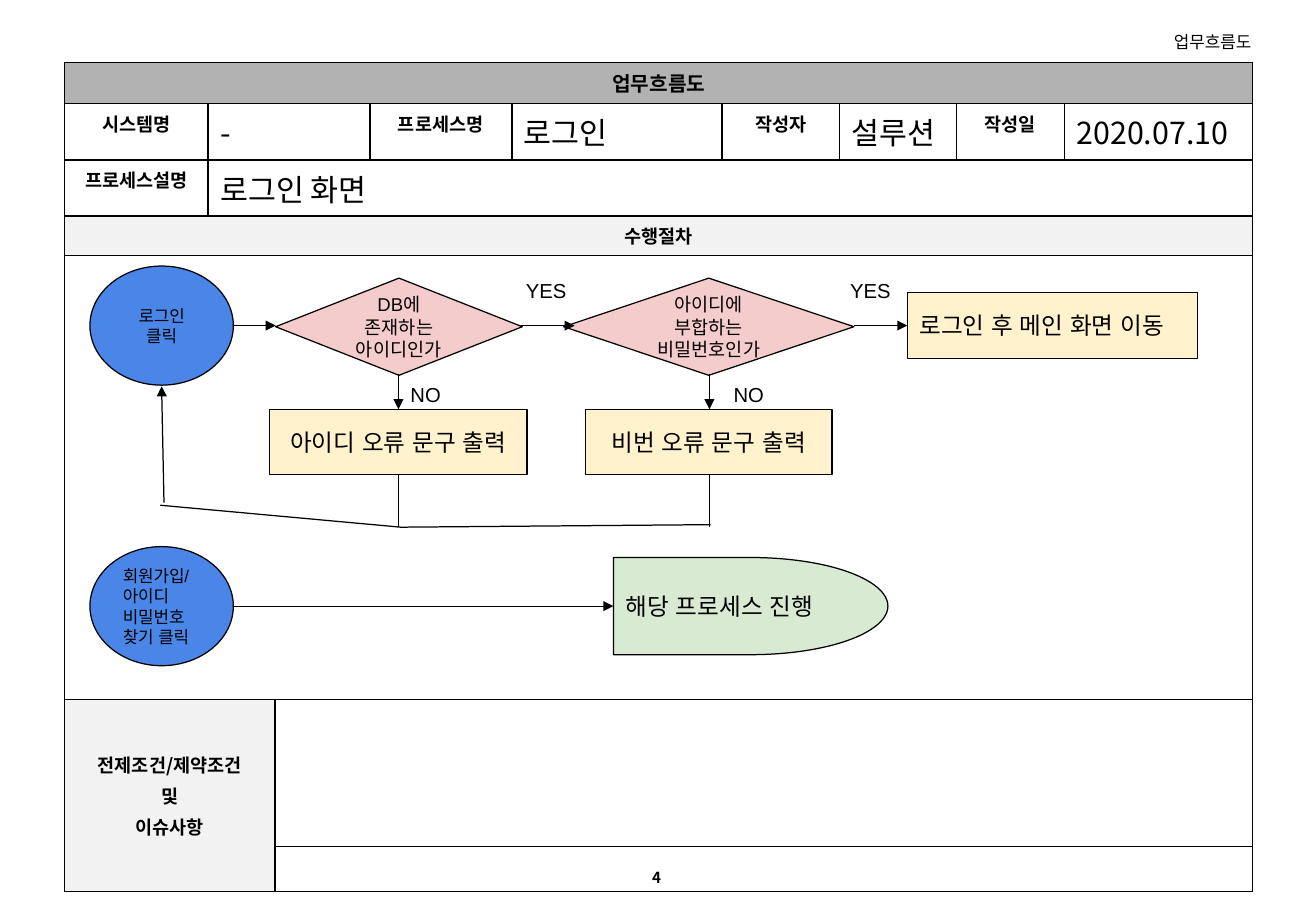
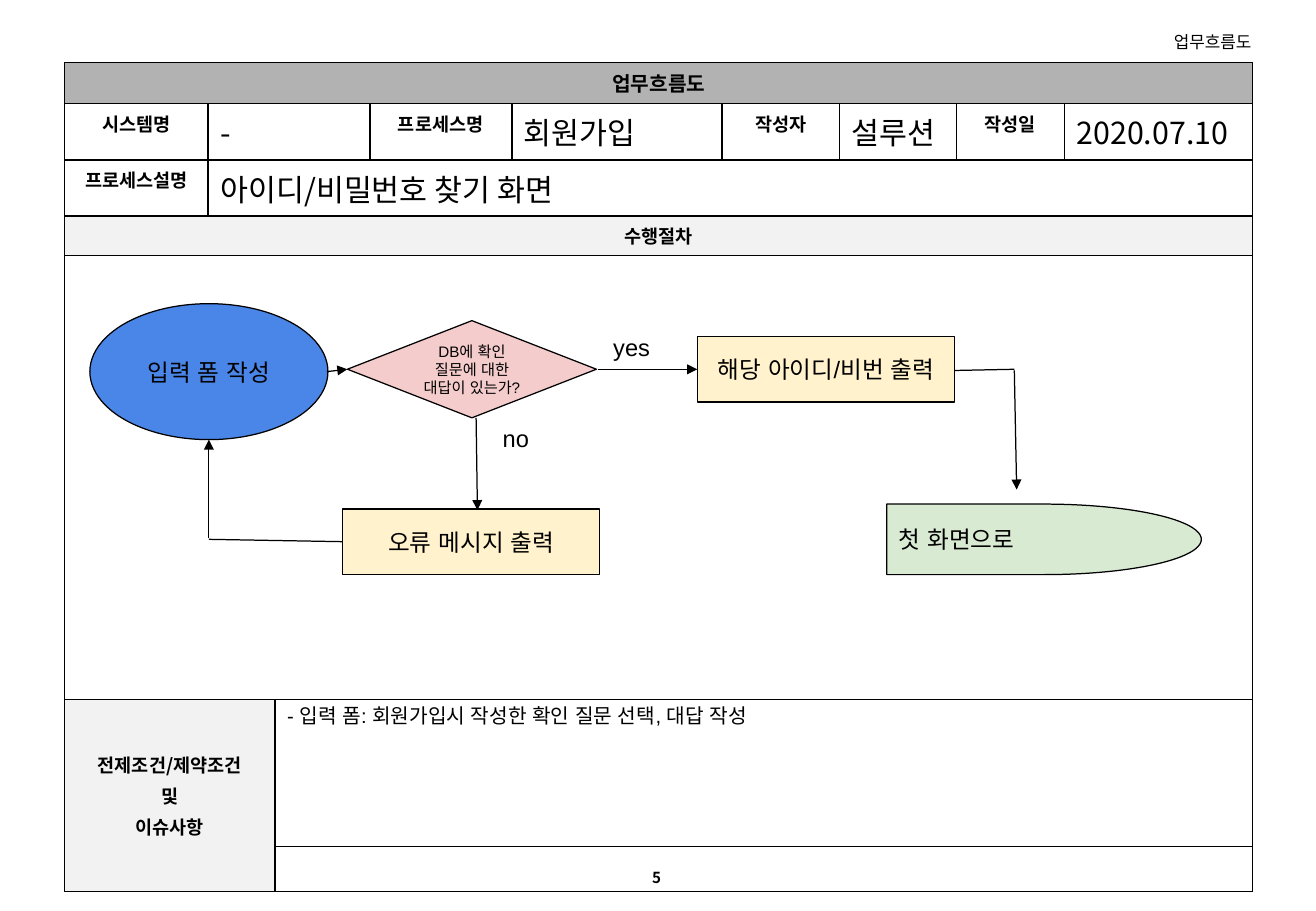
from dataclasses import dataclass

from lxml import etree
from pptx import Presentation
from pptx.dml.color import RGBColor
from pptx.enum.shapes import MSO_CONNECTOR, MSO_SHAPE
from pptx.enum.text import MSO_ANCHOR, PP_ALIGN
from pptx.oxml.ns import qn
from pptx.util import Pt

ELLIPSE = MSO_SHAPE.OVAL
DIAMOND = MSO_SHAPE.DIAMOND
RECTANGLE = MSO_SHAPE.RECTANGLE
DELAY = MSO_SHAPE.FLOWCHART_DELAY
STRAIGHT = MSO_CONNECTOR.STRAIGHT
LEFT, CENTER, RIGHT = PP_ALIGN.LEFT, PP_ALIGN.CENTER, PP_ALIGN.RIGHT
TOP, MIDDLE = MSO_ANCHOR.TOP, MSO_ANCHOR.MIDDLE

COLORS = {
    "ink": "000000",
    "heading": "B2B2B2",
    "section": "F2F2F2",
    "start": "4A86E8",
    "decision": "F4CCCC",
    "action": "FFF2CC",
    "finish": "D9EAD3",
}
NODE_FILLS = {ELLIPSE: "start", DIAMOND: "decision", RECTANGLE: "action", DELAY: "finish"}
FORM_FONT = "Noto Sans CJK KR"
FLOW_FONT = "Arial"
TITLE = "업무흐름도"
TITLE_ONLY = 5
LINE_WIDTH = 0.75
INNER_WIDTH = 1
COLUMN_WIDTHS = (85, 39.6, 56.2, 84.2, 124.6, 69.8, 69.1, 64.1, 111.6)
ROW_HEIGHTS = (24.6, 33.4, 33.4, 23.2, 263.2, 113.8)
LAST_COLUMN = len(COLUMN_WIDTHS) - 1
LAST_ROW = len(ROW_HEIGHTS) - 1
FLOW_ROW = 4


@dataclass
class Node:
    kind: int
    left: float
    top: float
    width: float
    height: float
    text: str
    size: float = 14
    align: int = CENTER


@dataclass
class Link:
    x1: float
    y1: float
    x2: float
    y2: float
    arrow: bool = True


@dataclass
class Label:
    left: float
    top: float
    width: float
    height: float
    text: str
    size: float


@dataclass
class Field:
    row: int
    first: int
    last: int
    text: str
    size: float = 11
    bold: bool = True
    align: int = CENTER
    fill: str = ""
    anchor: int = TOP
    font: str = FORM_FONT
    space_before: float = 0


@dataclass
class Process:
    page: str
    name: str
    description: str
    note: str
    nodes: list[Node]
    links: list[Link]
    labels: list[Label]


PROCESSES = [
    Process(
        "4", "로그인", "로그인 화면", "",
        [
            Node(ELLIPSE, 53.3, 157.7, 85, 70.6, "로그인\n클릭", 10),
            Node(DIAMOND, 163.4, 164.9, 146.2, 57.6, "DB에 존재하는 아이디인가", 11),
            Node(DIAMOND, 334.1, 164.9, 172.1, 57.6, "아이디에 부합하는 비밀번호인가", 11),
            Node(RECTANGLE, 537.8, 173.5, 172.1, 38.9, "로그인 후 메인 화면 이동", align=LEFT),
            Node(RECTANGLE, 159.8, 242.6, 152.6, 38.9, "아이디 오류 문구 출력"),
            Node(RECTANGLE, 347, 242.6, 146.2, 38.9, "비번 오류 문구 출력"),
            Node(ELLIPSE, 53.3, 324, 85, 70.6, "회원가입/ 아이디 비밀번호 찾기 클릭", 10, LEFT),
            Node(DELAY, 363.6, 330.5, 162.7, 57.6, "해당 프로세스 진행", align=LEFT),
        ],
        [
            Link(138.2, 193, 163.4, 193),
            Link(309, 193, 340.6, 193),
            Link(506.2, 193, 537.8, 193),
            Link(236.2, 222, 236.2, 242.6),
            Link(420.5, 222, 420.5, 242.6),
            Link(236.2, 281.5, 236.2, 312.5, False),
            Link(420.5, 281.5, 420.5, 312.5, False),
            Link(421.2, 311, 237.6, 312.5, False),
            Link(237.6, 312.5, 95, 299.5, False),
            Link(97.2, 298, 95.8, 229),
            Link(138.2, 359.3, 363.6, 359.3),
        ],
        [
            Label(304.6, 157.7, 67, 26, "YES", 12),
            Label(496.8, 157.7, 67, 26, "YES", 12),
            Label(236.2, 219.6, 46.8, 26, "NO", 12),
            Label(427.7, 219.6, 46.8, 26, "NO", 12),
        ],
    ),
    Process(
        "5", "회원가입", "아이디/비밀번호 찾기 화면",
        "- 입력 폼: 회원가입시 작성한 확인 질문 선택, 대답 작성",
        [
            Node(ELLIPSE, 53.3, 180, 141.1, 80.6, "입력 폼 작성"),
            Node(DIAMOND, 205.9, 190.1, 147.6, 57.6, "DB에 확인 질문에 대한 대답이 있는가?", 9),
            Node(RECTANGLE, 413.3, 199.4, 152.6, 38.9, "해당 아이디/비번 출력"),
            Node(RECTANGLE, 203, 301.7, 152.6, 38.9, "오류 메시지 출력"),
            Node(DELAY, 525.6, 298.8, 186.5, 41.8, "첫 화면으로", align=LEFT),
        ],
        [
            Link(193.7, 220.3, 205.9, 218.9),
            Link(354.2, 218.9, 413.3, 218.9),
            Link(282.2, 247.7, 283, 302.4),
            Link(203, 321.1, 123.8, 319.7, False),
            Link(123.8, 319, 123.8, 260.6),
            Link(565.9, 219.6, 601.2, 218.9, False),
            Link(601.2, 219.6, 602.6, 290.2),
        ],
        [
            Label(356.4, 190.1, 43.2, 32.4, "yes", 14),
            Label(290.9, 244.1, 43.2, 32.4, "no", 14),
        ],
    ),
]


def rgb(name: str) -> RGBColor:
    return RGBColor.from_string(COLORS[name])


def write(text_frame, text: str, font: str, size: float, align: int,
          bold: bool = False, space_before: float = 0) -> None:
    text_frame.text = text
    for index, paragraph in enumerate(text_frame.paragraphs):
        paragraph.alignment = align
        if index and space_before:
            paragraph.space_before = Pt(space_before)
        for run in paragraph.runs:
            run.font.name = font
            run.font.size = Pt(size)
            run.font.bold = bold
            run.font.color.rgb = rgb("ink")
            east_asian = etree.Element(qn("a:ea"), typeface=font)
            run.font._element.find(qn("a:latin")).addnext(east_asian)


def set_frame(text_frame, horizontal: float, vertical: float, anchor: int) -> None:
    text_frame.word_wrap = True
    text_frame.vertical_anchor = anchor
    text_frame.margin_left = text_frame.margin_right = Pt(horizontal)
    text_frame.margin_top = text_frame.margin_bottom = Pt(vertical)


def add_link(slide, link: Link) -> None:
    connector = slide.shapes.add_connector(
        STRAIGHT, Pt(link.x1), Pt(link.y1), Pt(link.x2), Pt(link.y2))
    connector.line.color.rgb = rgb("ink")
    connector.line.width = Pt(LINE_WIDTH)
    properties = connector.element.spPr
    if link.arrow:
        etree.SubElement(properties.find(qn("a:ln")), qn("a:tailEnd"), type="triangle")
    etree.SubElement(properties, qn("a:effectLst"))


def add_node(slide, node: Node) -> None:
    shape = slide.shapes.add_shape(
        node.kind, Pt(node.left), Pt(node.top), Pt(node.width), Pt(node.height))
    shape.shadow.inherit = False
    shape.fill.solid()
    shape.fill.fore_color.rgb = rgb(NODE_FILLS[node.kind])
    shape.line.color.rgb = rgb("ink")
    shape.line.width = Pt(LINE_WIDTH)
    set_frame(shape.text_frame, 7.2, 7.2, MIDDLE)
    write(shape.text_frame, node.text, FLOW_FONT, node.size, node.align)


def add_label(slide, label: Label) -> None:
    box = slide.shapes.add_textbox(
        Pt(label.left), Pt(label.top), Pt(label.width), Pt(label.height))
    set_frame(box.text_frame, 7.2, 7.2, TOP)
    write(box.text_frame, label.text, FLOW_FONT, label.size, LEFT)


def set_borders(cell, row: int, column: int) -> None:
    properties = cell._tc.get_or_add_tcPr()
    sides = {
        "a:lnL": column == 0,
        "a:lnR": column == LAST_COLUMN,
        "a:lnT": row == 0,
        "a:lnB": row == FLOW_ROW - 1,
    }
    for index, (tag, thin) in enumerate(sides.items()):
        width = LINE_WIDTH if thin or row >= FLOW_ROW else INNER_WIDTH
        border = etree.Element(qn(tag), w=str(Pt(width)))
        fill = etree.SubElement(border, qn("a:solidFill"))
        etree.SubElement(fill, qn("a:srgbClr"), val=COLORS["ink"])
        properties.insert(index, border)


def form_fields(process: Process) -> list[Field]:
    value = {"size": 18, "bold": False, "align": LEFT}
    return [
        Field(0, 0, LAST_COLUMN, TITLE, 12, fill="heading"),
        Field(1, 0, 0, "시스템명"),
        Field(1, 1, 2, "-", **value),
        Field(1, 3, 3, "프로세스명"),
        Field(1, 4, 4, process.name, **value),
        Field(1, 5, 5, "작성자"),
        Field(1, 6, 6, "설루션", **value),
        Field(1, 7, 7, "작성일"),
        Field(1, 8, 8, "2020.07.10", **value),
        Field(2, 0, 0, "프로세스설명"),
        Field(2, 1, LAST_COLUMN, process.description, **value),
        Field(3, 0, LAST_COLUMN, "수행절차", fill="section"),
        Field(FLOW_ROW, 0, LAST_COLUMN, ""),
        Field(LAST_ROW, 0, 1, "전제조건/제약조건\n및\n이슈사항",
              fill="section", anchor=MIDDLE, space_before=2.2),
        Field(LAST_ROW, 2, LAST_COLUMN, process.note, 12, False, LEFT, font=FLOW_FONT),
    ]


def add_form(slide, process: Process) -> None:
    table = slide.shapes.add_table(
        len(ROW_HEIGHTS), len(COLUMN_WIDTHS), Pt(38.4), Pt(36.8),
        Pt(sum(COLUMN_WIDTHS)), Pt(sum(ROW_HEIGHTS))).table
    table.first_row = table.horz_banding = False
    for column, width in zip(table.columns, COLUMN_WIDTHS):
        column.width = Pt(width)
    for row, height in zip(table.rows, ROW_HEIGHTS):
        row.height = Pt(height)
    for field in form_fields(process):
        for column in range(field.first, field.last + 1):
            cell = table.cell(field.row, column)
            if field.fill:
                cell.fill.solid()
                cell.fill.fore_color.rgb = rgb(field.fill)
            else:
                cell.fill.background()
            set_borders(cell, field.row, column)
        cell = table.cell(field.row, field.first)
        if field.last > field.first:
            cell.merge(table.cell(field.row, field.last))
        cell.vertical_anchor = field.anchor
        write(cell.text_frame, field.text, field.font, field.size,
              field.align, field.bold, field.space_before)


def add_page_frame(slide, page: str) -> None:
    title = slide.shapes.title
    title.left, title.top, title.width, title.height = Pt(511.9), Pt(18.7), Pt(229.7), Pt(12.2)
    set_frame(title.text_frame, 0, 0, MIDDLE)
    write(title.text_frame, TITLE, FORM_FONT, 10, RIGHT)
    add_link(slide, Link(742.3, 501.8, 38.9, 501.8, False))
    number = slide.shapes.add_textbox(Pt(369.4), Pt(511.2), Pt(39.6), Pt(18))
    set_frame(number.text_frame, 7.2, 3.6, TOP)
    write(number.text_frame, page, FORM_FONT, 9, CENTER, True)


def main() -> None:
    presentation = Presentation()
    presentation.slide_width, presentation.slide_height = Pt(780), Pt(540)
    for process in PROCESSES:
        slide = presentation.slides.add_slide(presentation.slide_layouts[TITLE_ONLY])
        add_page_frame(slide, process.page)
        add_form(slide, process)
        for node in process.nodes:
            add_node(slide, node)
        for link in process.links:
            add_link(slide, link)
        for label in process.labels:
            add_label(slide, label)
    presentation.save("out.pptx")


if __name__ == "__main__":
    main()
